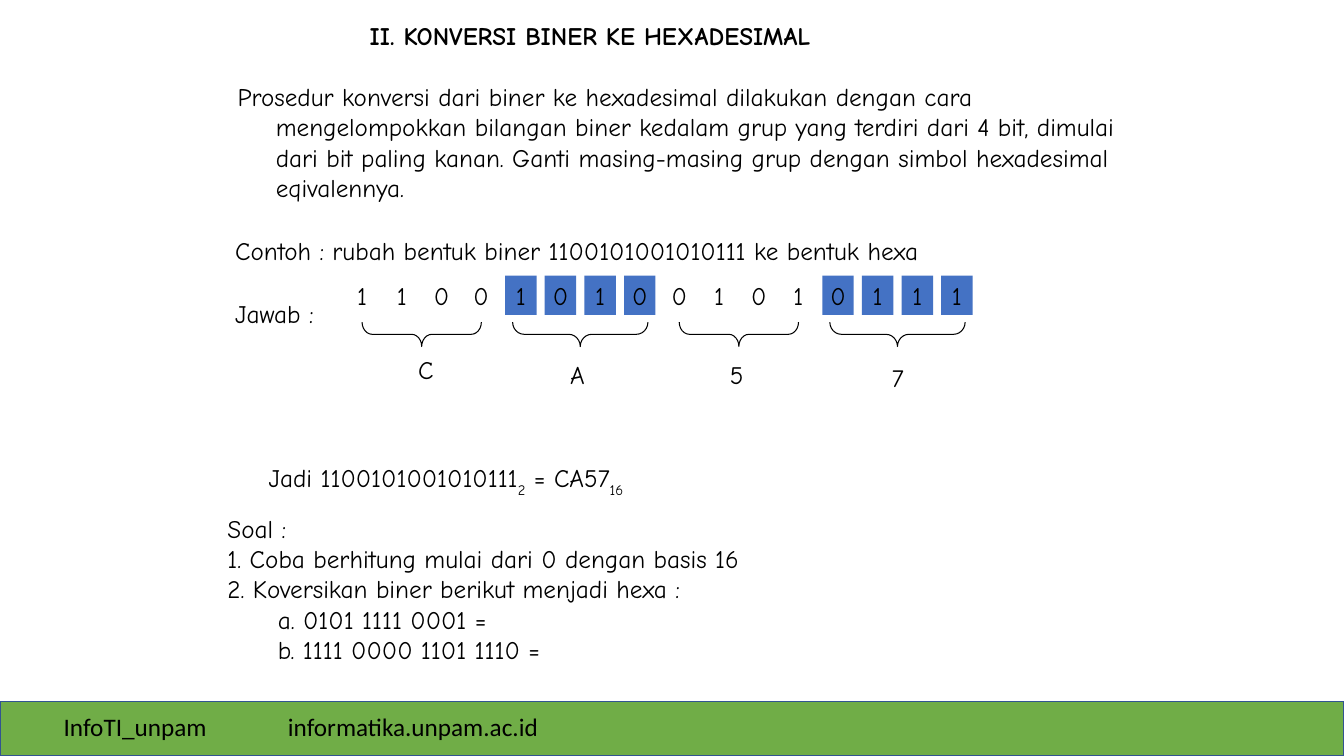
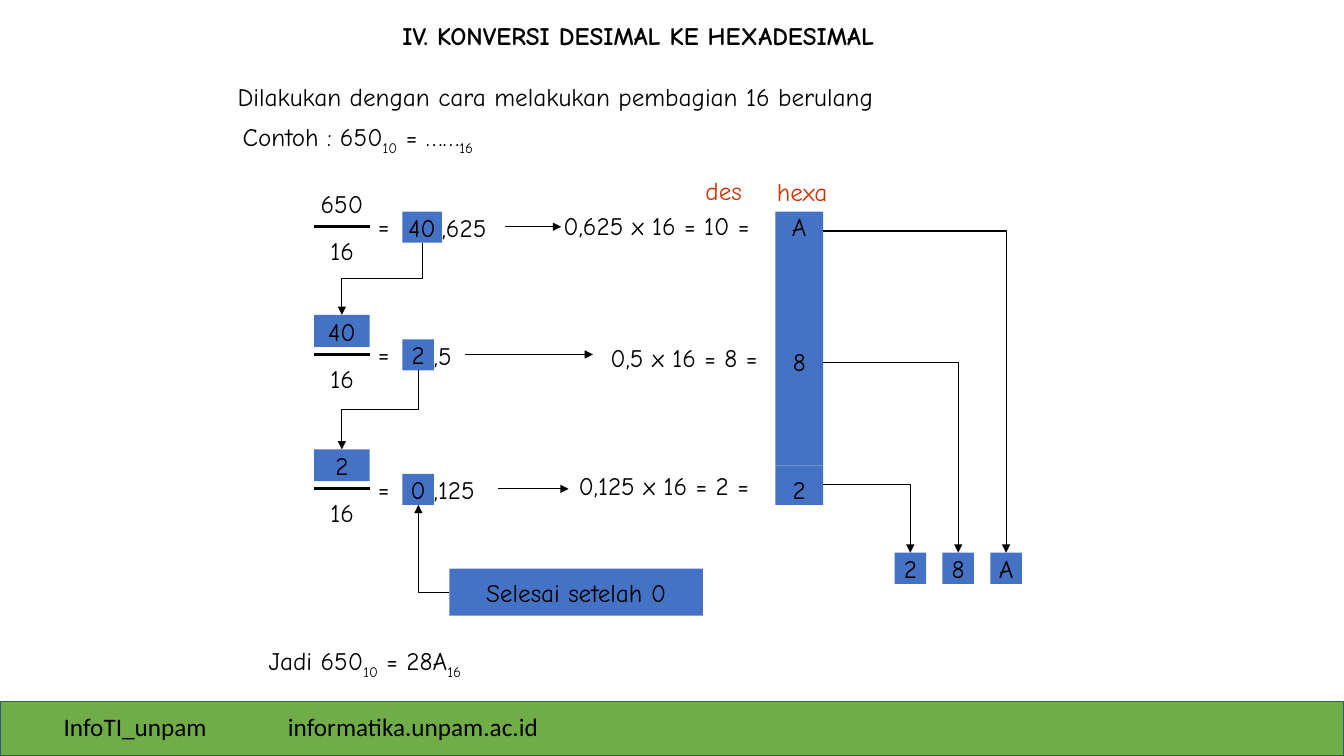
from dataclasses import dataclass
from typing import NamedTuple

import pptx
import pptx.dml.color
import pptx.enum.shapes
import pptx.enum.text
import pptx.oxml
import pptx.oxml.ns
import pptx.util
from pptx.slide import Slide

RGBColor = pptx.dml.color.RGBColor
Preset = pptx.enum.shapes.MSO_SHAPE
Connector = pptx.enum.shapes.MSO_CONNECTOR
Anchor = pptx.enum.text.MSO_ANCHOR
Align = pptx.enum.text.PP_ALIGN
AutoSize = pptx.enum.text.MSO_AUTO_SIZE
qn = pptx.oxml.ns.qn

BLACK = RGBColor(0x00, 0x00, 0x00)
BLUE = RGBColor(0x44, 0x72, 0xC4)
GREEN = RGBColor(0x70, 0xAD, 0x47)
NAVY = RGBColor(0x32, 0x54, 0x91)
RED = RGBColor(0xCC, 0x33, 0x00)
BODY_FONT = "Comic Neue"
FOOTER_FONT = "Calibri"

# The slide is a grid of 160 columns by 90 rows of square cells.
COLUMNS, ROWS = 160, 90
SLIDE_WIDTH = pptx.util.Inches(13.333)
SLIDE_HEIGHT = pptx.util.Inches(7.5)
CELL = SLIDE_HEIGHT / ROWS
LINE_ROWS = 4.8
BIT_WIDTH = 3.75
DIGIT_HEIGHT = 3.7


class Box(NamedTuple):
    left: float
    top: float
    width: float
    height: float = LINE_ROWS


class Point(NamedTuple):
    x: float
    y: float


class Run(NamedTuple):
    text: str
    subscript: bool = False


class Para(NamedTuple):
    runs: list[Run]
    margin: float = 0.38
    hanging: float = 0.38
    level: int = 0


@dataclass(frozen=True)
class TextStyle:
    font: str = BODY_FONT
    color: RGBColor = BLACK
    bold: bool = False
    align: Align = Align.LEFT
    anchor: Anchor = Anchor.TOP
    wrap: bool = False
    grow: bool = True
    insets: tuple[float, float, float, float] = (0.1, 0.05, 0.1, 0.05)


@dataclass(frozen=True)
class BitGroup:
    bits: str
    filled: bool
    brace: float
    curve: float
    digit: str
    digit_at: Point


@dataclass(frozen=True)
class Division:
    bar_y: float
    numerator: str
    quotient: str
    quotient_width: float
    fraction: str
    arrow: tuple[float, float]
    product: str
    product_box: Box


@dataclass(frozen=True)
class HexDigit:
    text: str
    top: float
    height: float
    exit_y: float
    anchor: Anchor
    bottom_inset: float


BODY = TextStyle()
WRAPPED = TextStyle(wrap=True)
TITLE = TextStyle(bold=True)
FOOTER = TextStyle(font=FOOTER_FONT, wrap=True)
HEADING = TextStyle(color=RED)
CENTERED = TextStyle(align=Align.CENTER, anchor=Anchor.MIDDLE, grow=False)
FRACTION = TextStyle(anchor=Anchor.MIDDLE, grow=False, insets=(0, 0.05, 0.1, 0.05))

BIT_GROUPS = [
    BitGroup("1100", False, 14.2, 0.417, "C", Point(48.6, 41.6)),
    BitGroup("1010", True, 16.1, 0.472, "A", Point(66.7, 42.2)),
    BitGroup("0101", False, 14.2, 0.417, "5", Point(85.7, 42.2)),
    BitGroup("0111", True, 16.1, 0.472, "7", Point(105, 42.6)),
]
DIVISIONS = [
    Division(27, "650", "40", 4.7, ",625", (60.1, 66.8),
             "0,625 x 16 = 10 =", Box(65.9, 24.5, 27.1)),
    Division(42.2, "40", "2", BIT_WIDTH, ",5", (55.4, 70.6),
             "0,5 x 16 = 8 =", Box(71.5, 40.2, 27.4)),
    Division(58.2, "2", "0", BIT_WIDTH, ",125", (59.3, 67.7),
             "0,125 x 16 = 2 =", Box(67.7, 55.4, 27.4)),
]
HEX_DIGITS = [
    HexDigit("A", 25.2, 4.7, 27.5, Anchor.TOP, 0.05),
    HexDigit("8", 41.2, 3.8, 43.1, Anchor.TOP, 0.05),
    HexDigit("2", 55.4, 4.7, 57.7, Anchor.BOTTOM, 0),
]


def cells(*counts: float) -> list[pptx.util.Emu]:
    return [pptx.util.Emu(round(count * CELL)) for count in counts]


def line(text: str) -> list[Para]:
    return [Para([Run(text)])]


def write(shape, paras: list[Para], style: TextStyle) -> None:
    frame = shape.text_frame
    frame.word_wrap = style.wrap
    frame.auto_size = AutoSize.SHAPE_TO_FIT_TEXT if style.grow else AutoSize.NONE
    frame.vertical_anchor = style.anchor
    (frame.margin_left, frame.margin_top,
     frame.margin_right, frame.margin_bottom) = map(pptx.util.Inches, style.insets)
    for index, para in enumerate(paras):
        paragraph = frame.add_paragraph() if index else frame.paragraphs[0]
        paragraph.alignment = style.align
        paragraph.level = para.level
        properties = paragraph._p.get_or_add_pPr()
        properties.set("marL", str(pptx.util.Inches(para.margin)))
        properties.set("indent", str(-pptx.util.Inches(para.hanging)))
        for part in para.runs:
            run = paragraph.add_run()
            run.text = part.text
            run.font.name = style.font
            run.font.size = pptx.util.Pt(18)
            run.font.bold = style.bold
            run.font.color.rgb = style.color
            if part.subscript:
                run.font._element.set("baseline", "-30000")


def add_text(slide: Slide, box: Box, paras: list[Para], style: TextStyle = BODY):
    label = slide.shapes.add_textbox(*cells(*box))
    write(label, paras, style)
    return label


def add_block(slide: Slide, box: Box, text: str = "", style: TextStyle = CENTERED) -> None:
    block = slide.shapes.add_shape(Preset.RECTANGLE, *cells(*box))
    block.shadow.inherit = False
    block.fill.solid()
    block.fill.fore_color.rgb = BLUE
    block.line.fill.background()
    if text:
        write(block, line(text), style)


def add_digit(slide: Slide, box: Box, text: str, filled: bool) -> None:
    if filled:
        add_block(slide, box, text)
    else:
        add_text(slide, box, line(text), CENTERED)


def add_line(slide: Slide, start: Point, end: Point, weight: float = 0.75,
             arrow: bool = True, kind: Connector = Connector.STRAIGHT):
    connector = slide.shapes.add_connector(kind, *cells(*start, *end))
    connector.line.color.rgb = BLACK
    connector.line.width = pptx.util.Pt(weight)
    if arrow:
        tail = pptx.oxml.parse_xml(f'<a:tailEnd {pptx.oxml.ns.nsdecls("a")} type="triangle"/>')
        connector.line._get_or_add_ln().append(tail)
    effects = pptx.oxml.parse_xml(f'<a:effectLst {pptx.oxml.ns.nsdecls("a")}/>')
    connector.element.spPr.append(effects)
    return connector


def add_elbow(slide: Slide, start: Point, end: Point, preset: str, turn: int = 0) -> None:
    """Draw a bent arrow; turn is the clockwise rotation that sets its first leg."""
    width, height = abs(end.x - start.x), abs(end.y - start.y)
    if turn == 90:
        width, height = height, width
    left = (start.x + end.x - width) / 2
    top = (start.y + end.y - height) / 2
    elbow = add_line(slide, Point(left, top), Point(left + width, top + height),
                     kind=Connector.ELBOW)
    properties = elbow.element.spPr
    properties.find(qn("a:prstGeom")).set("prst", preset)
    if turn:
        properties.find(qn("a:xfrm")).set("rot", str(turn * 60000))


def add_footer(slide: Slide) -> None:
    """Build the footer band and move it to the layout that all slides share."""
    band = slide.shapes.add_shape(Preset.FLOWCHART_PROCESS, *cells(0, 83.5, COLUMNS, 6.5))
    band.shadow.inherit = False
    band.fill.solid()
    band.fill.fore_color.rgb = GREEN
    band.line.color.rgb = NAVY
    band.line.width = pptx.util.Pt(1)
    account = add_text(slide, Box(6.4, 84.1, 23.5), [Para([Run("InfoTI_unpam")], 0, 0)], FOOTER)
    site = add_text(slide, Box(33.1, 84.1, 35.4),
                    [Para([Run("informatika.unpam.ac.id")], 0, 0)], FOOTER)
    for part in (band, account, site):
        slide.slide_layout.shapes.element.append(part.element)


def add_slide(deck, title: str, box: Box) -> Slide:
    slide = deck.slides.add_slide(deck.slide_layouts[5])
    heading = slide.shapes.title
    heading.left, heading.top, heading.width, heading.height = cells(*box)
    write(heading, line(title), TITLE)
    return slide


def draw_binary(slide: Slide) -> None:
    add_text(slide, Box(27.1, 9.1, 107, 15.6), line(
        "Prosedur konversi dari biner ke hexadesimal dilakukan dengan cara mengelompokkan "
        "bilangan biner kedalam grup yang terdiri dari 4 bit, dimulai dari bit paling kanan. "
        "Ganti masing-masing grup dengan simbol hexadesimal eqivalennya."), WRAPPED)
    add_text(slide, Box(26.8, 27.4, 89.6),
             line("Contoh : rubah bentuk biner 1100101001010111 ke bentuk hexa"))
    add_text(slide, Box(26.8, 34.9, 13.1), line("Jawab :"))
    pitch, thickness = 4.72, 2.9
    for index, group in enumerate(BIT_GROUPS):
        left = 41.25 + 4 * pitch * index
        for place, bit in enumerate(group.bits):
            add_digit(slide, Box(left + pitch * place, 32.8, BIT_WIDTH, 4.7), bit, group.filled)
        center = left + (3 * pitch + BIT_WIDTH) / 2
        brace = slide.shapes.add_shape(Preset.LEFT_BRACE, *cells(
            center - thickness / 2, 39.8 - group.brace / 2, thickness, group.brace))
        brace.rotation = 270
        brace.adjustments[0] = group.curve
        brace.shadow.inherit = False
        brace.fill.background()
        brace.line.color.rgb = BLACK
        brace.line.width = pptx.util.Pt(0.75)
        add_text(slide, Box(*group.digit_at, 4.2), line(group.digit))
    add_text(slide, Box(30.8, 54.5, 48.8), [Para([
        Run("Jadi 1100101001010111"), Run("2", True), Run(" = CA57"), Run("16", True)])])
    add_text(slide, Box(25.9, 60.5, 66.4, 19.2), [
        *line("Soal :"),
        *line("1. Coba berhitung mulai dari 0 dengan basis 16"),
        *line("2. Koversikan biner berikut menjadi hexa :"),
        Para([Run("a. 0101 1111 0001 =")], 0.81, 0.31, 1),
        Para([Run("b. 1111 0000 1101 1110 =")], 0.81, 0.31, 1)])


def draw_divisions(slide: Slide) -> None:
    bar_left, bar_width, quotient_left = 37.4, 6.6, 47.9
    for index, step in enumerate(DIVISIONS):
        y = step.bar_y
        add_digit(slide, Box(bar_left, y - 4.7, bar_width, 3.8), step.numerator, index > 0)
        add_text(slide, Box(38.4, y + 1, 4.7, DIGIT_HEIGHT), line("16"), CENTERED)
        add_line(slide, Point(bar_left, y), Point(bar_left + bar_width, y), 2.25, arrow=False)
        add_text(slide, Box(43.8, y - 2.5, 4), line("="))
        add_block(slide, Box(quotient_left, y - 1.8, step.quotient_width, DIGIT_HEIGHT),
                  step.quotient)
        add_text(slide, Box(quotient_left + step.quotient_width, y - 1.8, 8.5, 3.8),
                 line(step.fraction), FRACTION)
        add_line(slide, Point(step.arrow[0], y), Point(step.arrow[1], y))
        add_text(slide, step.product_box, line(step.product))
    for step, following in zip(DIVISIONS, DIVISIONS[1:]):
        add_elbow(slide, Point(quotient_left + step.quotient_width / 2, step.bar_y + 1.9),
                  Point(bar_left + bar_width / 2, following.bar_y - 4.7), "bentConnector3", 90)


def draw_hex_column(slide: Slide) -> None:
    left, width, result_top, pitch = 92.3, 5.7, 65.8, 5.7
    for digit in HEX_DIGITS:
        style = TextStyle(align=Align.CENTER, anchor=digit.anchor, grow=False,
                          insets=(0.1, 0, 0.1, digit.bottom_inset))
        add_block(slide, Box(left, digit.top, width, digit.height), digit.text, style)
    for upper, lower in zip(HEX_DIGITS, HEX_DIGITS[1:]):
        bottom = upper.top + upper.height
        add_block(slide, Box(left, bottom, width, lower.top - bottom))
    for index, digit in enumerate(reversed(HEX_DIGITS)):
        result_left = 106.5 + pitch * index
        add_block(slide, Box(result_left, result_top, BIT_WIDTH, DIGIT_HEIGHT), digit.text)
        add_elbow(slide, Point(left + width, digit.exit_y),
                  Point(result_left + BIT_WIDTH / 2, result_top), "bentConnector2")


def draw_decimal(slide: Slide) -> None:
    add_text(slide, Box(27.1, 9.1, 80.5),
             line("Dilakukan dengan cara melakukan pembagian 16 berulang"))
    add_text(slide, Box(27.7, 13.8, 31.9), [Para([
        Run("Contoh : 650"), Run("10", True), Run(" = ……"), Run("16", True)])], WRAPPED)
    draw_divisions(slide)
    draw_hex_column(slide)
    add_text(slide, Box(30.8, 76.2, 28.3), [Para([
        Run("Jadi 650"), Run("10", True), Run(" = 28A"), Run("16", True)])])
    add_block(slide, Box(53.5, 67.7, 30.2, 5.6), "Selesai setelah 0")
    add_elbow(slide, Point(53.5, 70.5), Point(49.8, 60.1), "bentConnector2", 180)
    add_text(slide, Box(91.3, 20.4, 9.1), line("hexa"), HEADING)
    add_text(slide, Box(82.8, 20.3, 7.3), line("des"), HEADING)


def main() -> None:
    deck = pptx.Presentation()
    deck.slide_width, deck.slide_height = SLIDE_WIDTH, SLIDE_HEIGHT
    binary = add_slide(deck, "II. KONVERSI BINER KE HEXADESIMAL", Box(42.8, 1.8, 64.7))
    add_footer(binary)
    draw_binary(binary)
    decimal = add_slide(deck, "IV. KONVERSI DESIMAL KE HEXADESIMAL", Box(46.7, 1.8, 69.5))
    draw_decimal(decimal)
    deck.save("out.pptx")


if __name__ == "__main__":
    main()
